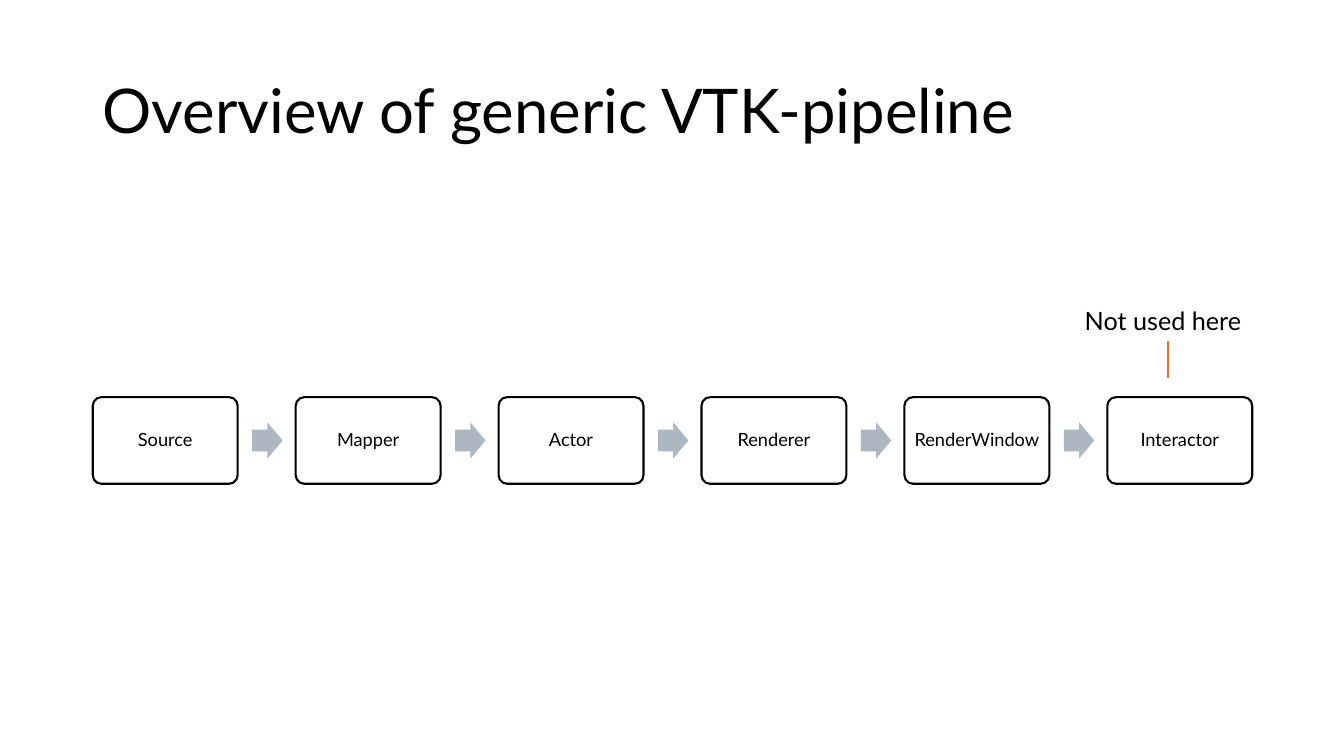
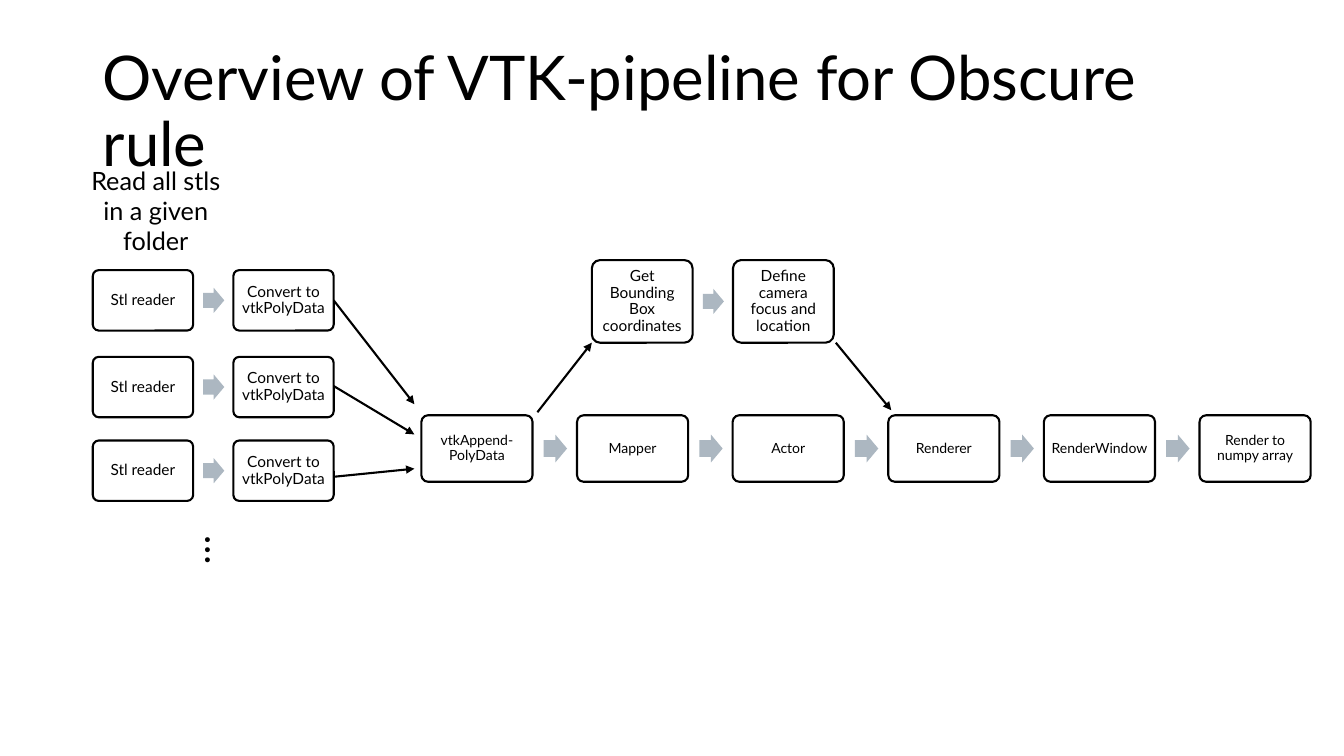
from dataclasses import dataclass

from lxml.etree import SubElement
from pptx import Presentation
from pptx.dml.color import RGBColor
from pptx.enum.shapes import MSO_CONNECTOR, MSO_SHAPE
from pptx.enum.text import MSO_ANCHOR, PP_ALIGN
from pptx.oxml.ns import qn
from pptx.slide import Slide
from pptx.text.text import TextFrame
from pptx.util import Inches, Pt

FONT = "Lato"
BLACK, WHITE, GREY, ORANGE = "000000", "FFFFFF", "ACB7C1", "E97132"


@dataclass
class Chain:
    """A row of boxes that fills a span, with an arrow in each gap."""
    left: float
    top: float
    span: float
    height: float
    size: int
    inset: float
    steps: list[str]


@dataclass
class Line:
    x1: float
    y1: float
    x2: float
    y2: float
    color: str = BLACK
    head: bool = True


@dataclass
class Label:
    text: str
    left: float
    top: float
    width: float
    height: float
    size: int = 18
    wrap: bool = False
    turn: int = 0
    align: PP_ALIGN = PP_ALIGN.LEFT
    anchor: MSO_ANCHOR = MSO_ANCHOR.TOP
    pitch: float = 1.0


def rgb(color: str) -> RGBColor:
    return RGBColor.from_string(color)


def write(frame: TextFrame, text: str, size: int, align: PP_ALIGN,
          anchor: MSO_ANCHOR, pitch: float, wrap: bool = True) -> None:
    frame.word_wrap = wrap
    frame.vertical_anchor = anchor
    para = frame.paragraphs[0]
    para.alignment = align
    para.line_spacing = pitch
    run = para.add_run()
    run.text = text
    run.font.name = FONT
    run.font.size = Pt(size)
    run.font.color.rgb = rgb(BLACK)


def add_label(slide: Slide, label: Label) -> None:
    box = slide.shapes.add_textbox(Inches(label.left), Inches(label.top),
                                   Inches(label.width), Inches(label.height))
    box.rotation = label.turn
    write(box.text_frame, label.text, label.size, label.align,
          label.anchor, label.pitch, label.wrap)


def add_title(slide: Slide, text: str) -> None:
    add_label(slide, Label(text, 0.92, 0.4, 11.5, 1.45, 44, wrap=True,
                           anchor=MSO_ANCHOR.MIDDLE, pitch=0.9))


def add_box(slide: Slide, chain: Chain, text: str,
            left: float, width: float) -> None:
    box = slide.shapes.add_shape(
        MSO_SHAPE.ROUNDED_RECTANGLE, Inches(left), Inches(chain.top),
        Inches(width), Inches(chain.height))
    box.adjustments[0] = 0.1
    box.shadow.inherit = False
    box.fill.solid()
    box.fill.fore_color.rgb = rgb(WHITE)
    box.line.color.rgb = rgb(BLACK)
    box.line.width = Pt(1.5)
    frame = box.text_frame
    frame.margin_left = frame.margin_right = Inches(chain.inset)
    frame.margin_top = frame.margin_bottom = Inches(chain.inset)
    write(frame, text, chain.size, PP_ALIGN.CENTER, MSO_ANCHOR.MIDDLE, 0.9)


def add_arrow(slide: Slide, left: float, mid: float, unit: float) -> None:
    """Draw a block arrow scaled to the width of the boxes beside it."""
    width, height = 0.21 * unit, 0.25 * unit
    arrow = slide.shapes.add_shape(
        MSO_SHAPE.RIGHT_ARROW, Inches(left), Inches(mid - height / 2),
        Inches(width), Inches(height))
    arrow.adjustments[0] = 0.6
    arrow.adjustments[1] = 0.5
    arrow.shadow.inherit = False
    arrow.fill.solid()
    arrow.fill.fore_color.rgb = rgb(GREY)
    arrow.line.fill.background()


def add_chain(slide: Slide, chain: Chain) -> None:
    gap = 0.4
    count = len(chain.steps)
    width = chain.span / (count + gap * (count - 1))
    for i, text in enumerate(chain.steps):
        left = chain.left + i * width * (1 + gap)
        add_box(slide, chain, text, left, width)
        if i < count - 1:
            add_arrow(slide, left + 1.1 * width,
                      chain.top + chain.height / 2, width)


def add_line(slide: Slide, line: Line) -> None:
    link = slide.shapes.add_connector(
        MSO_CONNECTOR.STRAIGHT, Inches(line.x1), Inches(line.y1),
        Inches(line.x2), Inches(line.y2))
    link.line.color.rgb = rgb(line.color)
    link.line.width = Pt(1.5)
    props = link.element.spPr
    if line.head:
        SubElement(props.get_or_add_ln(), qn("a:tailEnd"), type="triangle")
    SubElement(props, qn("a:effectLst"))


def draw(slide: Slide, title: str, chains: list[Chain],
         lines: list[Line], labels: list[Label]) -> None:
    add_title(slide, title)
    for chain in chains:
        add_chain(slide, chain)
    for line in lines:
        add_line(slide, line)
    for label in labels:
        add_label(slide, label)


def main() -> None:
    deck = Presentation()
    deck.slide_width, deck.slide_height = Inches(13.33), Inches(7.5)
    blank = deck.slide_layouts[6]

    draw(deck.slides.add_slide(blank), "Overview of generic VTK-pipeline",
         [Chain(0.92, 3.94, 11.5, 0.86, 13, 0.05,
                ["Source", "Mapper", "Actor", "Renderer", "RenderWindow",
                 "Interactor"])],
         [Line(11.58, 3.75, 11.58, 3.38, ORANGE, head=False)],
         [Label("Not used here", 10.66, 2.98, 1.78, 0.4)])

    readers = [Chain(0.92, top, 2.39, 0.6, 11, 0.05,
                     ["Stl reader", "Convert to vtkPolyData"])
               for top in (2.68, 3.54, 4.37)]
    render = Chain(4.18, 4.12, 8.82, 0.66, 10, 0.04,
                   ["vtkAppend-PolyData", "Mapper", "Actor", "Renderer",
                    "RenderWindow", "Render to numpy array"])
    camera = Chain(5.87, 2.58, 2.4, 0.82, 11, 0.05,
                   ["Get Bounding Box coordinates",
                    "Define camera focus and location"])
    draw(deck.slides.add_slide(blank),
         "Overview of VTK-pipeline for Obscure rule",
         [render, *readers, camera],
         [Line(3.31, 2.98, 4.11, 4.01), Line(3.31, 3.83, 4.11, 4.31),
          Line(3.31, 4.73, 4.11, 4.65), Line(5.33, 4.09, 5.87, 3.4),
          Line(8.29, 3.4, 8.84, 4.07)],
         [Label("…", 1.93, 5.19, 0.52, 0.57, 28, turn=90),
          Label("Read all stls in a given folder", 0.77, 1.59, 1.55, 1.01,
                wrap=True, align=PP_ALIGN.CENTER)])

    deck.save("out.pptx")


if __name__ == "__main__":
    main()
